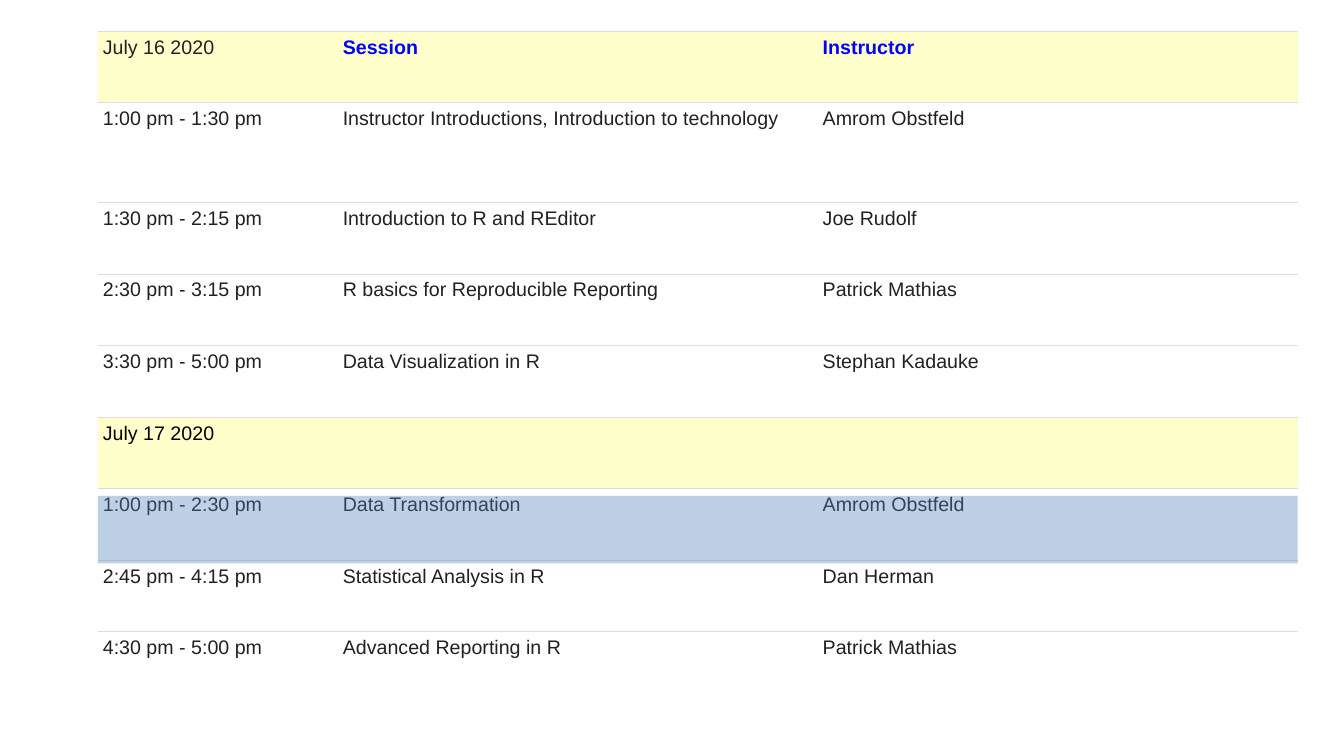
from dataclasses import dataclass

from lxml import etree
from pptx import Presentation
from pptx.dml.color import RGBColor
from pptx.enum.shapes import MSO_SHAPE
from pptx.oxml.ns import qn
from pptx.util import Inches, Pt

RECTANGLE = MSO_SHAPE.RECTANGLE


@dataclass(frozen=True)
class Theme:
    font: str = "Arial"
    size: int = 14
    space_after: int = 15
    text: str = "212121"
    heading: str = "0000FF"
    second_day: str = "000000"
    day_fill: str = "FFFFCC"
    session_fill: str = "FFFFFF"
    rule: str = "DDDDDD"
    highlight: str = "4F81BD"
    highlight_opacity: int = 37


THEME = Theme()
LEFT, TOP, WIDTH = 0.97, 0.31, 11.9
COLUMN_WIDTHS = (2.38, 4.76, 4.76)
ROW_HEIGHT, TALL_ROW_HEIGHT, TALL_ROW = 0.71, 0.99, 1
CELL_MARGIN = 0.05

SCHEDULE = (
    ("July 16 2020", "Session", "Instructor"),
    ("1:00 pm - 1:30 pm", "Instructor Introductions, Introduction to technology", "Amrom Obstfeld"),
    ("1:30 pm - 2:15 pm", "Introduction to R and REditor", "Joe Rudolf"),
    ("2:30 pm - 3:15 pm", "R basics for Reproducible Reporting", "Patrick Mathias"),
    ("3:30 pm - 5:00 pm", "Data Visualization in R", "Stephan Kadauke"),
    ("July 17 2020", "", ""),
    ("1:00 pm - 2:30 pm", "Data Transformation", "Amrom Obstfeld"),
    ("2:45 pm - 4:15 pm", "Statistical Analysis in R", "Dan Herman"),
    ("4:30 pm - 5:00 pm", "Advanced Reporting in R", "Patrick Mathias"),
)
FIRST_DAY_ROW, SECOND_DAY_ROW = 0, 5


def rgb(value):
    return RGBColor.from_string(value)


def set_borders(cell, ruled_sides):
    """Rule the given sides (T, B) and clear the others."""
    properties = cell._tc.get_or_add_tcPr()
    for index, side in enumerate("LRTB"):
        line = etree.Element(qn(f"a:ln{side}"), w=str(Pt(1)))
        if side in ruled_sides:
            fill = etree.SubElement(line, qn("a:solidFill"))
            etree.SubElement(fill, qn("a:srgbClr"), val=THEME.rule)
        else:
            etree.SubElement(line, qn("a:noFill"))
        properties.insert(index, line)


def fill_cell(cell, text, color, background, bold, ruled_sides):
    cell.margin_left = cell.margin_right = Inches(CELL_MARGIN)
    cell.margin_top = cell.margin_bottom = Inches(CELL_MARGIN)
    cell.fill.solid()
    cell.fill.fore_color.rgb = rgb(background)
    set_borders(cell, ruled_sides)
    cell.text = text
    para = cell.text_frame.paragraphs[0]
    para.space_after = Pt(THEME.space_after)
    para.font.name = THEME.font
    para.font.size = Pt(THEME.size)
    para.font.bold = bold
    para.font.color.rgb = rgb(color)


def add_schedule(page):
    heights = [ROW_HEIGHT] * len(SCHEDULE)
    heights[TALL_ROW] = TALL_ROW_HEIGHT
    frame = page.shapes.add_table(
        len(SCHEDULE), len(COLUMN_WIDTHS),
        Inches(LEFT), Inches(TOP), Inches(WIDTH), Inches(sum(heights)),
    )
    table = frame.table
    table.first_row = table.horz_banding = False
    for column, width in zip(table.columns, COLUMN_WIDTHS):
        column.width = Inches(width)
    for row_index, texts in enumerate(SCHEDULE):
        table.rows[row_index].height = Inches(heights[row_index])
        is_day = row_index in (FIRST_DAY_ROW, SECOND_DAY_ROW)
        background = THEME.day_fill if is_day else THEME.session_fill
        ruled_sides = "T" if row_index == len(SCHEDULE) - 1 else "TB"
        for column_index, text in enumerate(texts):
            is_heading = row_index == FIRST_DAY_ROW and column_index > 0
            color = THEME.heading if is_heading else THEME.text
            if row_index == SECOND_DAY_ROW:
                color = THEME.second_day
            fill_cell(table.cell(row_index, column_index), text, color,
                      background, is_heading, ruled_sides)


def add_highlight(page, top, height):
    """Lay a translucent band over one session."""
    band = page.shapes.add_shape(
        RECTANGLE, Inches(LEFT), Inches(top), Inches(WIDTH), Inches(height)
    )
    band.shadow.inherit = False
    band.line.fill.background()
    band.fill.solid()
    band.fill.fore_color.rgb = rgb(THEME.highlight)
    color = band.fill._xPr.find(qn("a:solidFill")).find(qn("a:srgbClr"))
    etree.SubElement(color, qn("a:alpha"), val=str(THEME.highlight_opacity * 1000))


def main():
    deck = Presentation()
    deck.slide_width, deck.slide_height = Inches(13.33), Inches(7.5)
    page = deck.slides.add_slide(deck.slide_layouts[6])
    add_schedule(page)
    add_highlight(page, top=4.92, height=0.67)
    deck.save("out.pptx")


if __name__ == "__main__":
    main()
